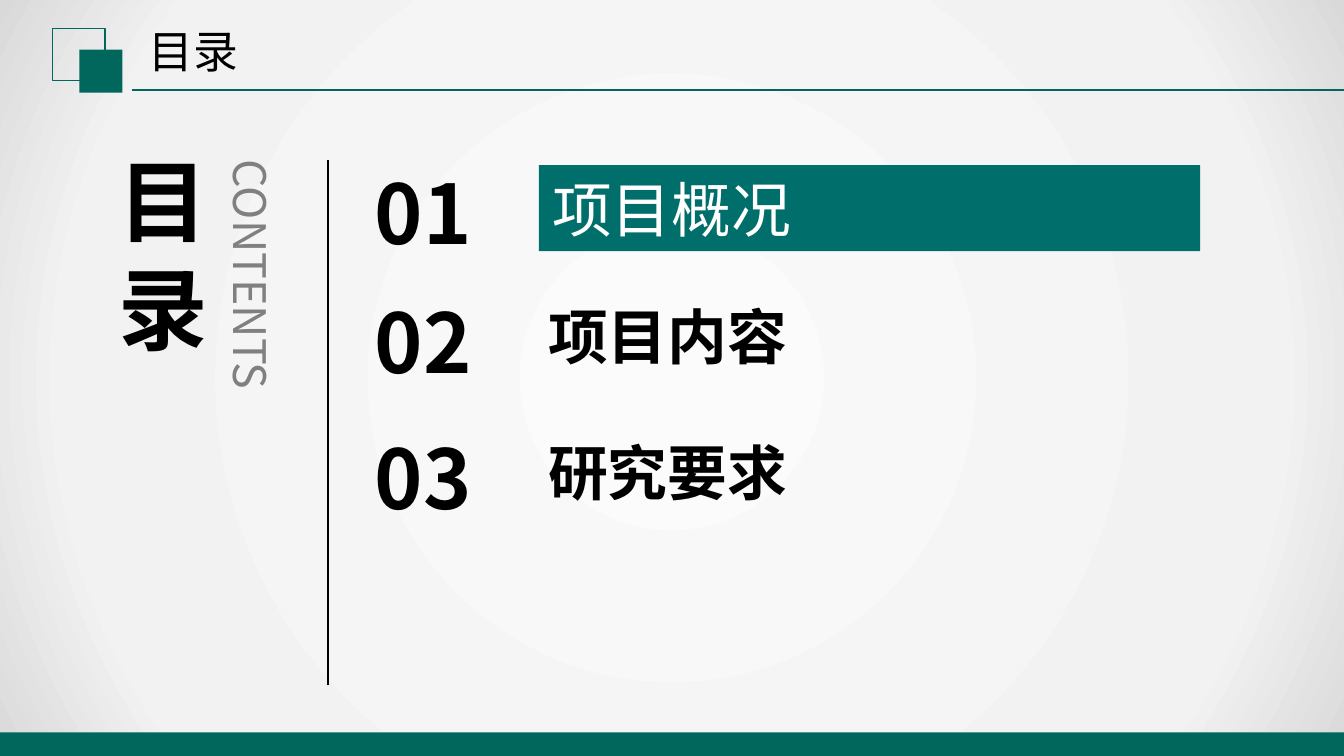
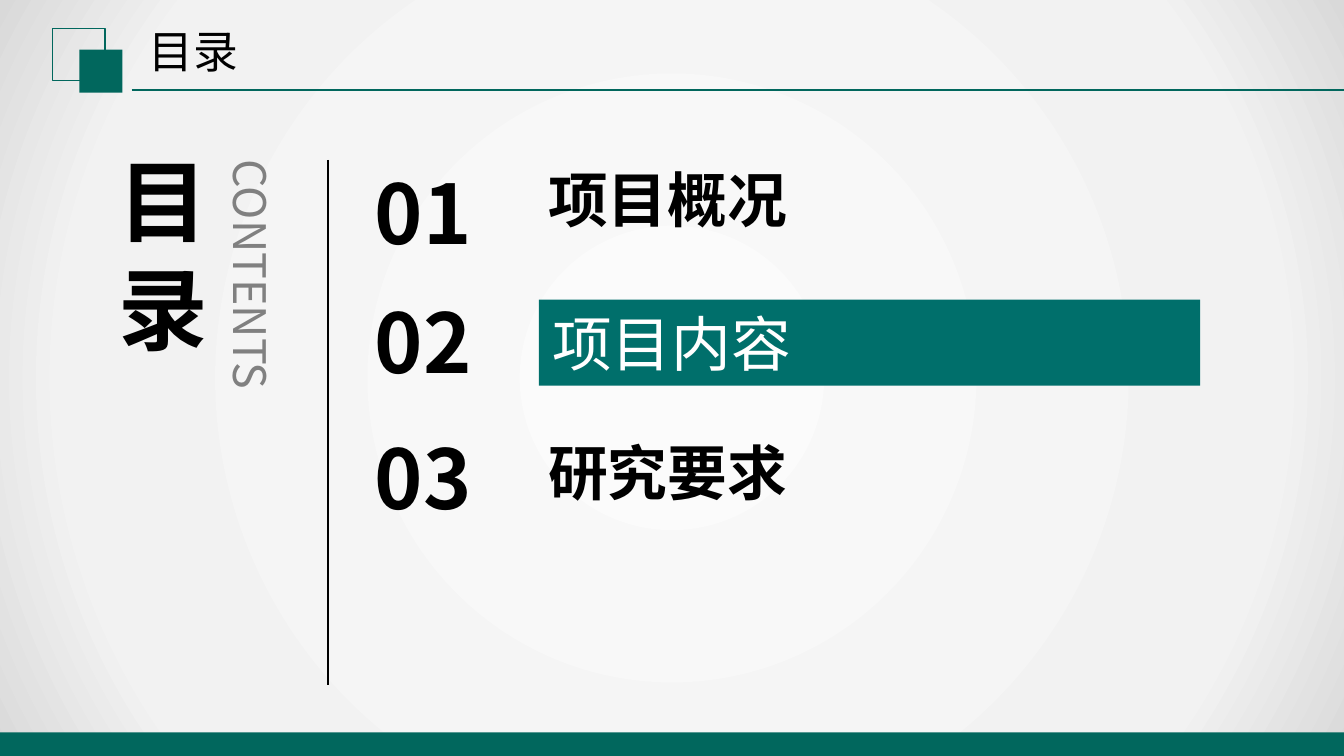
import pptx
import pptx.util
import pptx.oxml
import pptx.oxml.ns
import pptx.dml.color
import pptx.enum.shapes
import pptx.enum.text
from lxml import etree

Inches, Pt = pptx.util.Inches, pptx.util.Pt
qn = pptx.oxml.ns.qn

# Content
TITLE = "目录"
HEADING = ["目", "录"]
SUBHEADING = "CONTENTS"
CHAPTERS = [("01", "项目概况"), ("02", "项目内容"), ("03", "研究要求")]
ACTIVE_CHAPTERS = [0, 1]  # highlighted chapter on each slide

# Style
W = 10
H = W * 9 / 16
FONT = "Noto Sans CJK SC"
LINE_HEIGHT = 1.2
COLORS = {"band": "01675D", "bar": "006F6B", "text": "000000",
          "muted": "808080", "white": "FFFFFF"}
BACKDROP_STOPS = [(0, "FBFBFB"), (79, "F2F2F2"), (100, "D9D9D9")]

# Chapter list layout
NUMBER_TOPS = [1.16, 2.12, 3.13]
LABEL_TOPS = [1.16, 2.18, 3.19]
BAR_TOP, BAR_STEP = 1.23, 1.0


def rgb(name):
    return pptx.dml.color.RGBColor.from_string(COLORS[name])


def add_rect(s, x, y, w, h, fill=None, line=None):
    sp = s.shapes.add_shape(pptx.enum.shapes.MSO_SHAPE.RECTANGLE,
                            Inches(x), Inches(y), Inches(w), Inches(h))
    sp.shadow.inherit = False
    if fill:
        sp.fill.solid()
        sp.fill.fore_color.rgb = rgb(fill)
    else:
        sp.fill.background()
    if line:
        sp.line.color.rgb = rgb(line)
        sp.line.width = Pt(0.75)
    else:
        sp.line.fill.background()
    return sp


def add_line(s, x1, y1, x2, y2, color, width):
    line = s.shapes.add_connector(pptx.enum.shapes.MSO_CONNECTOR.STRAIGHT,
                                  Inches(x1), Inches(y1), Inches(x2), Inches(y2))
    line.line.color.rgb = rgb(color)
    line.line.width = Pt(width)
    etree.SubElement(line._element.spPr, qn("a:effectLst"))


def write(sp, lines, size, color="text", bold=False, wrap=True):
    tf = sp.text_frame
    tf.text = "\n".join(lines)
    tf.word_wrap = wrap
    tf.auto_size = pptx.enum.text.MSO_AUTO_SIZE.SHAPE_TO_FIT_TEXT
    for p in tf.paragraphs:
        p.alignment = pptx.enum.text.PP_ALIGN.LEFT
        p.line_spacing = Pt(round(size * LINE_HEIGHT, 1))
        for r in p.runs:
            r.font.size = Pt(size)
            r.font.bold = bold
            r.font.name = FONT
            r.font.color.rgb = rgb(color)
            etree.SubElement(r.font._element, qn("a:ea"), typeface=FONT)


def add_text(s, x, y, w, h, lines, size, **style):
    sp = s.shapes.add_textbox(Inches(x), Inches(y), Inches(w), Inches(h))
    write(sp, lines, size, **style)
    return sp


def add_backdrop(s):
    sp = add_rect(s, 0, 0, W, H, "white")
    stops = "".join(f'<a:gs pos="{pos * 1000}"><a:srgbClr val="{color}"/></a:gs>'
                    for pos, color in BACKDROP_STOPS)
    gradient = pptx.oxml.parse_xml(
        f'<a:gradFill {pptx.oxml.ns.nsdecls("a")} rotWithShape="1">'
        f'<a:gsLst>{stops}</a:gsLst><a:path path="circle">'
        '<a:fillToRect l="50000" t="50000" r="50000" b="50000"/>'
        '</a:path></a:gradFill>')
    spPr = sp._element.spPr
    spPr.replace(spPr.find(qn("a:solidFill")), gradient)


def add_frame(s):
    # Backdrop, corner squares, title rule, footer band
    add_backdrop(s)
    add_rect(s, 0.39, 0.21, 0.39, 0.39, line="band")
    add_rect(s, 0.59, 0.37, 0.32, 0.32, "band")
    add_line(s, 0.98, 0.67, W, 0.67, "band", 1.25)
    add_rect(s, 0, 5.45, W, 0.19, "band")


def add_contents(s, active):
    # Side heading and divider
    add_text(s, 0.78, 1.04, 1.65, 1.72, HEADING, 48, bold=True, wrap=False)
    side = add_text(s, 0.83, 1.81, 2.01, 0.57, [SUBHEADING], 24,
                    color="muted", wrap=False)
    side.rotation = 90
    add_line(s, 2.44, 1.19, 2.44, 5.1, "text", 0.75)

    # Chapters
    for i, (number, label) in enumerate(CHAPTERS):
        add_text(s, 2.69, NUMBER_TOPS[i], 1.33, 0.84, [number], 44, bold=True)
        if i == active:
            bar = add_rect(s, 4.01, BAR_TOP + i * BAR_STEP, 4.92, 0.64, "bar")
            write(bar, [label], 32, color="white")
        else:
            add_text(s, 3.98, LABEL_TOPS[i], 2.39, 0.64, [label], 32, bold=True)

    # Slide title
    add_text(s, 1.01, 0.13, 0.87, 0.5, [TITLE], 24, wrap=False)


def main():
    prs = pptx.Presentation()
    prs.slide_width, prs.slide_height = Inches(W), Inches(H)
    for active in ACTIVE_CHAPTERS:
        s = prs.slides.add_slide(prs.slide_layouts[6])
        add_frame(s)
        add_contents(s, active)
    prs.save("out.pptx")


if __name__ == "__main__":
    main()
